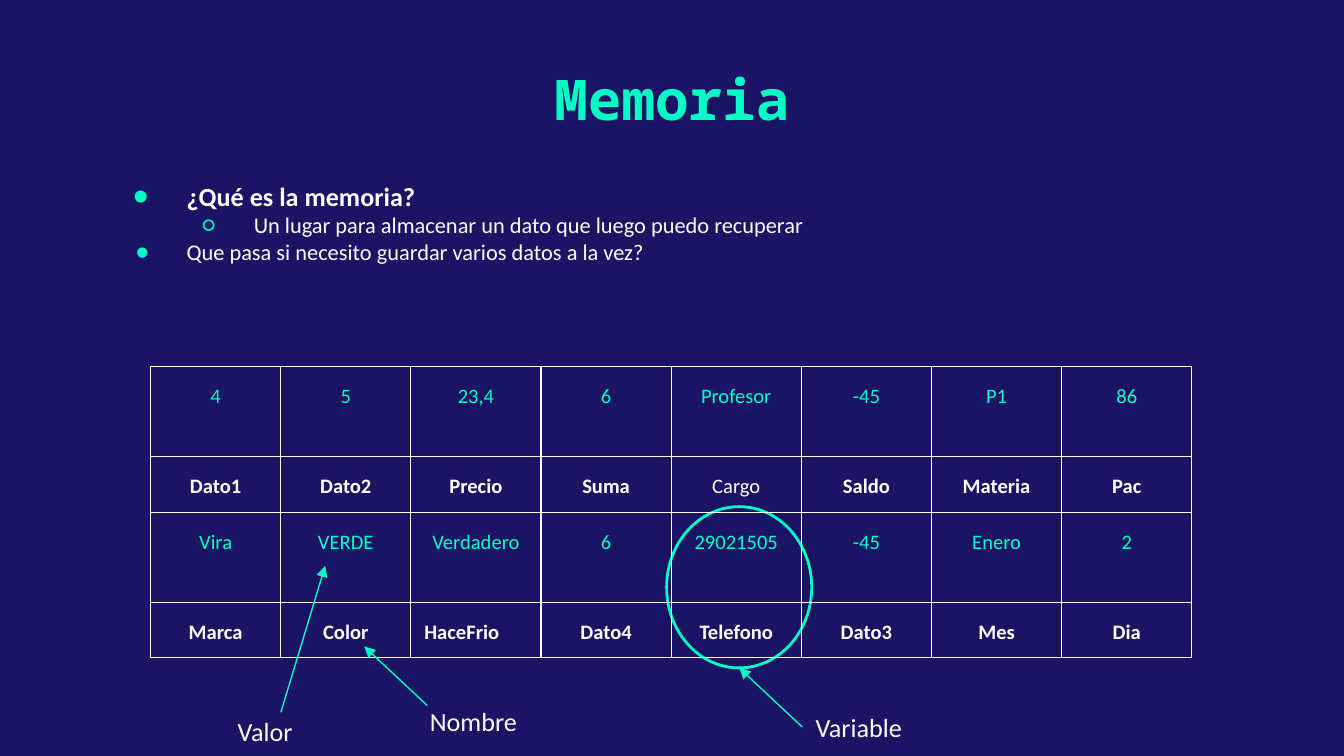
from lxml import etree
from pptx import Presentation
from pptx.dml.color import RGBColor
from pptx.enum import shapes, text
from pptx.oxml import parse_xml
from pptx.oxml.ns import qn
from pptx.util import Inches, Pt

NS = 'xmlns:a="http://schemas.openxmlformats.org/drawingml/2006/main"'
MINT, WHITE, NAVY = "00FFC5", "FFFFFF", "1B1464"
SIDES = ("left", "right", "top", "bottom")


def rgb(value):
    return RGBColor.from_string(value)


def write(p, content, color, **formats):
    r = p.add_run()
    r.text = content
    r.font.color.rgb = rgb(color)
    for name, value in ({"name": "Calibri", "bold": False} | formats).items():
        setattr(r.font, name, value)


# Widescreen page, 16:9
prs = Presentation()
prs.slide_width = Inches(10)
prs.slide_height = Inches(10) * 9 // 16
s = prs.slides.add_slide(prs.slide_layouts[5])
s.background.fill.solid()
s.background.fill.fore_color.rgb = rgb(NAVY)

# Ring around the variable
sp = s.shapes.add_shape(shapes.MSO_SHAPE.OVAL, Inches(4.96), Inches(3.77),
                        Inches(1.08), Inches(1.2))
sp.shadow.inherit = False
sp.fill.background()
sp.line.color.rgb = rgb(MINT)
sp.line.width = Pt(1.5)

# Title
title = s.shapes.title
title.left, title.top, title.width, title.height = map(Inches, (1.4, 0.38, 7.2, 0.73))
tf = title.text_frame
tf.vertical_anchor = text.MSO_ANCHOR.TOP
for side in SIDES:
    setattr(tf, f"margin_{side}", Inches(0.1))
p = tf.paragraphs[0]
p.alignment = text.PP_ALIGN.CENTER
write(p, "Memoria", MINT, name="Noto Sans Mono", size=Pt(30), bold=True)

# Bulleted questions: text, level, hanging indent, bullet, size, bold
bullets = [
    ("¿Qué es la memoria?", 0, 0.4, "●", 14, True),
    ("Un lugar para almacenar un dato que luego puedo recuperar", 1, 0.38, "○", 12, False),
    ("Que pasa si necesito guardar varios datos a la vez?", 0, 0.38, "●", 12, False),
]
tf = s.shapes.add_textbox(Inches(0.79), Inches(1.24), Inches(8.43), Inches(1.36)).text_frame
tf.word_wrap = True
for side in SIDES:
    setattr(tf, f"margin_{side}", Inches(0.1))
for i, (content, level, hang, mark, size, bold) in enumerate(bullets):
    p = tf.add_paragraph() if i else tf.paragraphs[0]
    p.level = level
    pPr = p._p.get_or_add_pPr()
    pPr.set("marL", str(Inches(0.5 * (level + 1))))
    pPr.set("indent", str(-Inches(hang)))
    for bullet in (f'<a:buClr {NS}><a:srgbClr val="{MINT}"/></a:buClr>',
                   f'<a:buFont {NS} typeface="Calibri"/>',
                   f'<a:buChar {NS} char="{mark}"/>'):
        pPr.append(parse_xml(bullet))
    write(p, content, WHITE, size=Pt(size), bold=bold)

# Memory table: rows of values alternate with rows of names
rows = [
    ["4", "5", "23,4", "6", "Profesor", "-45", "P1", "86"],
    ["Dato1", "Dato2", "Precio", "Suma", "Cargo", "Saldo", "Materia", "Pac"],
    ["Vira", "VERDE", "Verdadero", "6", "29021505", "-45", "Enero", "2"],
    ["Marca", "Color", "HaceFrio", "Dato4", "Telefono", "Dato3", "Mes", "Dia"],
]
table = s.shapes.add_table(4, 8, Inches(1.12), Inches(2.73),
                           Inches(7.75), Inches(2.18)).table
table.first_row = table.horz_banding = False
for i, row in enumerate(rows):
    is_name = i % 2 == 1
    table.rows[i].height = Inches(0.41 if is_name else 0.67)
    for j, content in enumerate(row):
        cell = table.cell(i, j)
        cell.fill.background()
        for side in SIDES:
            setattr(cell, f"margin_{side}", Inches(0.1))
        for k, edge in enumerate("LRTB"):
            cell._tc.get_or_add_tcPr().insert(k, parse_xml(
                f'<a:ln{edge} {NS} w="{Pt(0.75)}"><a:solidFill>'
                f'<a:srgbClr val="{WHITE}"/></a:solidFill></a:ln{edge}>'))
        p = cell.text_frame.paragraphs[0]
        p.line_spacing = 1.15
        p.alignment = text.PP_ALIGN.LEFT if content == "HaceFrio" else text.PP_ALIGN.CENTER
        write(p, content, WHITE if is_name else MINT, size=Pt(11),
              bold=is_name and content != "Cargo")

# Labels with their arrows: text, label corner, arrow start, arrow end
labels = [
    ("Variable", (5.97, 5.19), (5.97, 5.41), (5.5, 4.97)),
    ("Nombre", (3.1, 5.15), (3.18, 5.25), (2.71, 4.81)),
    ("Valor", (1.67, 5.22), (2.09, 5.3), (2.42, 4.21)),
]
for content, corner, start, end in labels:
    arrow = s.shapes.add_connector(shapes.MSO_CONNECTOR.STRAIGHT,
                                   *map(Inches, start + end))
    arrow.line.color.rgb = rgb(MINT)
    arrow.line.width = Pt(0.75)
    etree.SubElement(arrow.line._get_or_add_ln(), qn("a:tailEnd"), type="triangle")
    etree.SubElement(arrow._element.spPr, qn("a:effectLst"))
    tf = s.shapes.add_textbox(*map(Inches, corner + (1.3, 0.44))).text_frame
    tf.word_wrap = True
    for side in SIDES:
        setattr(tf, f"margin_{side}", Inches(0.1))
    write(tf.paragraphs[0], content, WHITE, size=Pt(14))

prs.save("out.pptx")
